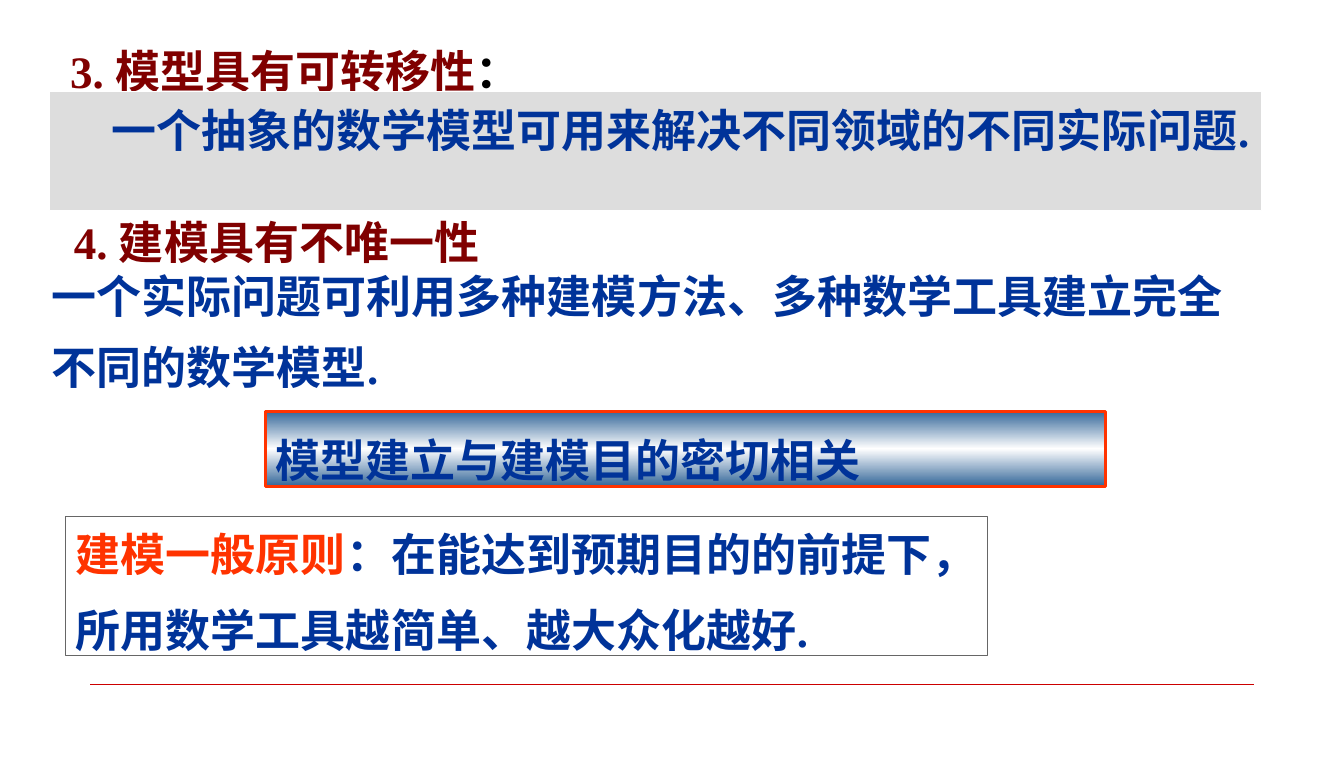
"""Build a slide on the traits of mathematical models and modelling."""
from copy import deepcopy

from lxml.etree import SubElement
from pptx import Presentation
from pptx.dml.color import RGBColor as Rgb
from pptx.enum.shapes import MSO_CONNECTOR as Conn, MSO_SHAPE as Shape
from pptx.enum.text import MSO_ANCHOR as Anchor, PP_ALIGN as Align
from pptx.oxml.ns import qn
from pptx.util import Inches, Pt

WIDE, HIGH = Inches(13.27), Inches(7.5)
SIZE, PITCH = 32, 38.5
LATIN, HAN = "Times New Roman", "Noto Sans CJK SC"
HUES = {
    "head": "800000", "body": "003399", "key": "FF3300", "black": "000000",
    "band": "DDDDDD", "white": "FFFFFF", "steel": "336699",
    "edge": "666666", "rule": "CC0000",
}


def hue(name):
    return Rgb.from_string(HUES[name])


def across(share):
    return int(WIDE * share / 100)


def down(share):
    return int(HIGH * share / 100)


def place(left, top, width, height):
    return across(left), down(top), across(width), down(height)


def add_run(para, text, name):
    run = para.add_run()
    run.text = text
    font = run.font
    font.size, font.bold, font.name = Pt(SIZE), True, LATIN
    font.color.rgb = hue(name)
    SubElement(font._element, qn("a:ea"), typeface=HAN)


def write(box, *lines):
    frame = box.text_frame
    frame.word_wrap = True
    frame.vertical_anchor = Anchor.TOP
    frame.margin_left = frame.margin_top = Inches(0.1)
    frame.margin_right = frame.margin_bottom = 0
    for num, (space, dent, runs) in enumerate(lines):
        para = frame.add_paragraph() if num else frame.paragraphs[0]
        para.alignment = Align.LEFT
        para.line_spacing = Pt(PITCH * space)
        props = para._p.get_or_add_pPr()
        props.set("marL", str(Inches(dent)))
        props.set("indent", "0")
        for text, name in runs:
            add_run(para, text, name)


def add_text(slide, spot, *lines):
    write(slide.shapes.add_textbox(*place(*spot)), *lines)


def add_box(slide, spot, edge, weight, *lines):
    box = slide.shapes.add_shape(Shape.RECTANGLE, *place(*spot))
    box.shadow.inherit = False
    box.fill.background()
    box.line.color.rgb = hue(edge)
    box.line.width = Pt(weight)
    write(box, *lines)
    return box


def blend(box, *names):
    fill = box.fill
    fill.gradient()
    fill.gradient_angle = 90
    stops = box.element.xpath(".//a:gsLst")[0]
    stops.append(deepcopy(stops[-1]))
    for num, (stop, name) in enumerate(zip(fill.gradient_stops, names)):
        stop.position = num / (len(names) - 1)
        stop.color.rgb = hue(name)


def add_rule(slide, left, right, top):
    rule = slide.shapes.add_connector(
        Conn.STRAIGHT, across(left), down(top), across(right), down(top))
    rule.line.color.rgb = hue("rule")
    rule.line.width = Pt(0.25)
    SubElement(rule.element.spPr, qn("a:effectLst"))


def main():
    deck = Presentation()
    deck.slide_width, deck.slide_height = WIDE, HIGH
    slide = deck.slides.add_slide(deck.slide_layouts[6])

    add_rule(slide, 6.7, 93.3, 90)
    add_text(
        slide, (3.1, 26.9, 90, 24.8),
        (1, 0.22, [("4. ", "head"), ("建模具有不唯一性", "head")]),
        (1, 0, [("一个实际问题可利用多种建模方法、多种数学工具建立完全", "body")]),
        (1.3, 0, [("不同的数学模型.", "body")]))
    aim = add_box(
        slide, (19.75, 54.1, 62.5, 9.9), "key", 2.25,
        (1.2, 0, [("模型建立与建模目的密切相关", "body")]))
    blend(aim, "steel", "white", "steel")
    add_box(
        slide, (4.9, 67.9, 68.6, 18.4), "edge", 0.75,
        (1, 0, [("建模一般原则", "key"),
                ("：在能达到预期目的的前提下，", "body")]),
        (1.4, 0, [("所用数学工具越简单、越大众化越好.", "body")]))
    add_text(
        slide, (2, 3.7, 39.5, 9.2),
        (1.1, 0.33, [("3. ", "head"), ("模型具有可转移性", "head"),
                     ("：", "black")]))
    band = add_box(
        slide, (3.7, 12.1, 90.2, 15.6), "white", 0.75,
        (1, 0.51, [("一个抽象的数学模型可用来解决不同领域的不同实际问题.",
                    "body")]))
    band.fill.solid()
    band.fill.fore_color.rgb = hue("band")
    band.text_frame.margin_right = Inches(0.1)

    deck.save("out.pptx")


main()
